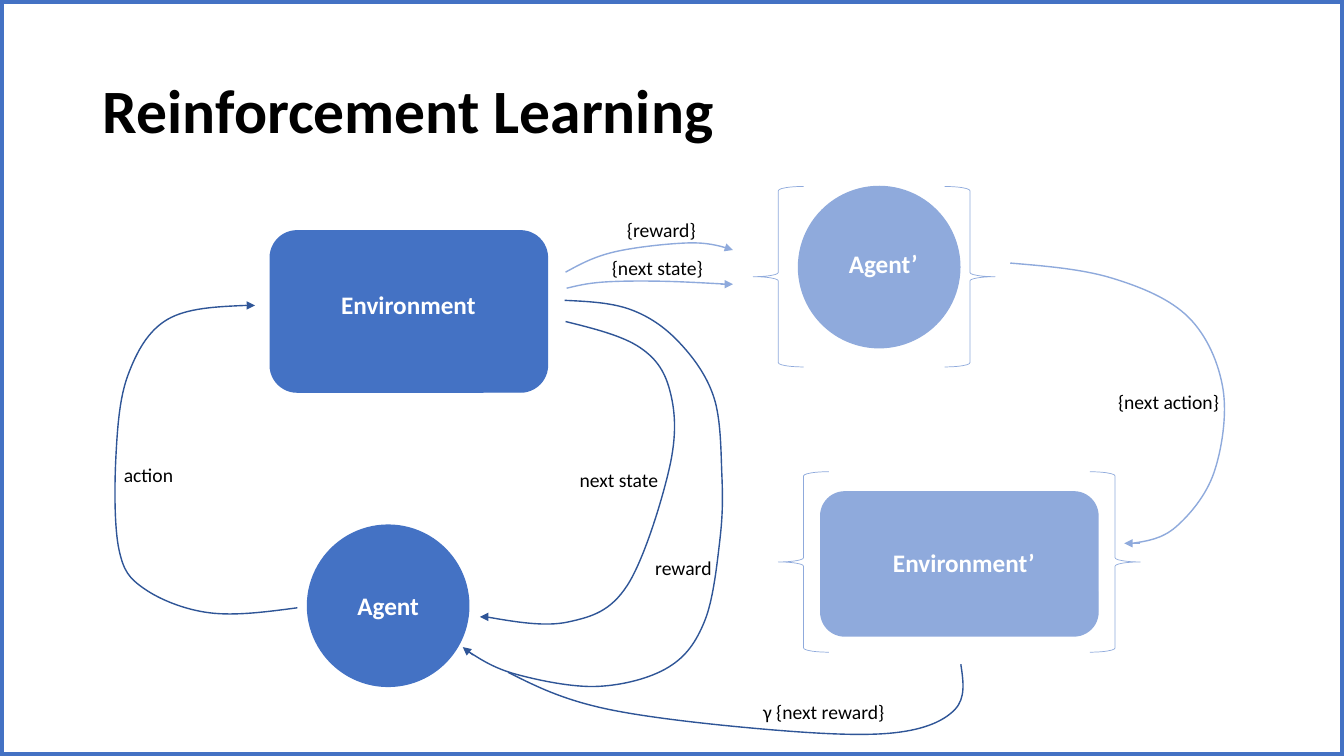
from dataclasses import dataclass

import lxml.etree
import pptx
import pptx.dml.color
import pptx.enum.shapes
import pptx.enum.text
import pptx.oxml.ns
import pptx.shapes.base
import pptx.slide
import pptx.util

RGBColor = pptx.dml.color.RGBColor
Kind = pptx.enum.shapes.MSO_SHAPE
Align = pptx.enum.text.PP_ALIGN

PX = pptx.util.Inches(1) // 100
WIDTH, HEIGHT = 1333, 750
FONT = "Calibri"
BLUE = RGBColor(0x44, 0x72, 0xC4)
LIGHT_BLUE = RGBColor(0x8F, 0xAA, 0xDC)
DARK_BLUE = RGBColor(0x2F, 0x55, 0x97)
BLACK = RGBColor(0, 0, 0)
WHITE = RGBColor(0xFF, 0xFF, 0xFF)

Point = tuple[float, float]


@dataclass
class Node:
    kind: Kind
    left: int
    top: int
    color: RGBColor
    width: int = 160
    height: int = 160


@dataclass
class BracePair:
    left: int
    right: int
    top: int


@dataclass
class Curve:
    color: RGBColor
    anchors: list[Point]
    tip: Point | None = None


@dataclass
class Label:
    text: str
    left: int
    top: int
    width: int = 107


NODES = [
    Node(Kind.ROUNDED_RECTANGLE, 268, 229, BLUE, 275),
    Node(Kind.OVAL, 305, 521, BLUE),
    Node(Kind.OVAL, 792, 185, LIGHT_BLUE),
    Node(Kind.ROUNDED_RECTANGLE, 814, 488, LIGHT_BLUE, 275, 143),
]
BRACES = [BracePair(747, 937, 185), BracePair(772, 1081, 468)]

CURVES = [
    Curve(DARK_BLUE, [(295, 603), (208, 608), (143, 584), (118, 545), (115, 453),
                      (127, 372), (166, 317), (244, 303)], (253, 303)),
    Curve(LIGHT_BLUE, [(561, 270), (609, 250), (683, 241), (724, 247)], (727, 248)),
    Curve(LIGHT_BLUE, [(1002, 261), (1103, 276), (1179, 315), (1213, 386), (1204, 469),
                       (1166, 523), (1123, 539)], (1115, 539)),
    Curve(DARK_BLUE, [(560, 298), (625, 307), (673, 339), (708, 394), (716, 471), (714, 536),
                      (699, 616), (663, 662), (593, 681), (512, 669), (464, 646)], (459, 642)),
    Curve(DARK_BLUE, [(953, 659), (947, 704), (887, 727), (765, 724), (600, 703), (504, 667)]),
    Curve(DARK_BLUE, [(561, 319), (635, 345), (665, 390), (664, 464), (622, 581),
                      (564, 617), (482, 612)], (476, 612)),
    Curve(LIGHT_BLUE, [(562, 286), (597, 280), (653, 279), (721, 282)], (727, 282)),
]

NODE_NAMES = [
    Label("Environment", 312, 282, 186),
    Label("Agent", 292, 581, 186),
    Label("Environment’", 863, 538, 186),
    Label("Agent’", 783, 241, 186),
]
SIGNALS = [
    Label("action", 113, 454),
    Label("{reward}", 612, 211),
    Label("{next action}", 1099, 382, 122),
    Label("γ {next reward}", 747, 689, 150),
    Label("next state", 565, 459),
    Label("{next state}", 597, 249, 114),
    Label("reward", 640, 547),
]


def add_outline(page: pptx.slide.Slide, kind: Kind, left: int, top: int, width: int,
                height: int, color: RGBColor, weight: float) -> pptx.shapes.base.BaseShape:
    shape = page.shapes.add_shape(kind, left * PX, top * PX, width * PX, height * PX)
    shape.shadow.inherit = False
    shape.fill.background()
    shape.line.color.rgb = color
    shape.line.width = pptx.util.Pt(weight)
    return shape


def add_node(page: pptx.slide.Slide, node: Node) -> None:
    shape = add_outline(page, node.kind, node.left, node.top, node.width, node.height,
                        node.color, 1)
    shape.fill.solid()
    shape.fill.fore_color.rgb = node.color


def add_braces(page: pptx.slide.Slide, pair: BracePair) -> None:
    for kind, left in ((Kind.LEFT_BRACE, pair.left), (Kind.RIGHT_BRACE, pair.right)):
        add_outline(page, kind, left, pair.top, 50, 179, LIGHT_BLUE, 0.5)


def add_arrow(page: pptx.slide.Slide, middle: Point, tip: Point, color: RGBColor) -> None:
    start = tuple(2 * center - end for center, end in zip(middle, tip))
    arrow = page.shapes.add_connector(
        pptx.enum.shapes.MSO_CONNECTOR.STRAIGHT, *(value * PX for value in start + tip))
    arrow.line.color.rgb = color
    arrow.line.width = pptx.util.Pt(0.5)
    tail = lxml.etree.SubElement(arrow.line._get_or_add_ln(), pptx.oxml.ns.qn("a:tailEnd"))
    tail.set("type", "triangle")
    lxml.etree.SubElement(arrow._element.spPr, pptx.oxml.ns.qn("a:effectLst"))


def midpoint(first: Point, second: Point) -> Point:
    return (first[0] + second[0]) / 2, (first[1] + second[1]) / 2


def smooth_points(anchors: list[Point]) -> list[Point]:
    handles = []
    for before, anchor, after in zip(anchors, anchors[1:], anchors[2:]):
        shift_x, shift_y = (after[0] - before[0]) / 6, (after[1] - before[1]) / 6
        handles += [(anchor[0] - shift_x, anchor[1] - shift_y), anchor,
                    (anchor[0] + shift_x, anchor[1] + shift_y)]
    return [anchors[0], midpoint(anchors[0], handles[0]), *handles,
            midpoint(handles[-1], anchors[-1]), anchors[-1]]


def add_curve(page: pptx.slide.Slide, curve: Curve) -> None:
    points = [(round(x * PX), round(y * PX)) for x, y in smooth_points(curve.anchors)]
    builder = page.shapes.build_freeform(*points[0])
    builder.add_line_segments(points[1:], close=False)
    shape = builder.convert_to_shape()
    shape.shadow.inherit = False
    shape.fill.background()
    shape.line.color.rgb = curve.color
    shape.line.width = pptx.util.Pt(1)
    segments = list(shape._element.iter(pptx.oxml.ns.qn("a:lnTo")))
    for first in range(0, len(segments), 3):
        bezier = lxml.etree.Element(pptx.oxml.ns.qn("a:cubicBezTo"))
        segments[first].addprevious(bezier)
        for segment in segments[first:first + 3]:
            bezier.append(segment[0])
            segment.getparent().remove(segment)
    if curve.tip:
        add_arrow(page, curve.anchors[-1], curve.tip, curve.color)


def add_label(page: pptx.slide.Slide, label: Label, height: int, size: int,
              color: RGBColor, bold: bool, align: Align) -> None:
    box = page.shapes.add_textbox(label.left * PX, label.top * PX, label.width * PX, height * PX)
    box.text_frame.word_wrap = True
    box.text_frame.auto_size = pptx.enum.text.MSO_AUTO_SIZE.SHAPE_TO_FIT_TEXT
    para = box.text_frame.paragraphs[0]
    para.text = label.text
    para.alignment = align
    para.font.name = FONT
    para.font.size = pptx.util.Pt(size)
    para.font.bold = bold
    para.font.color.rgb = color


def add_title(page: pptx.slide.Slide, text: str) -> None:
    title = page.shapes.title
    title.left, title.top, title.width, title.height = (
        value * PX for value in (92, 40, 1150, 145))
    title.text_frame.vertical_anchor = pptx.enum.text.MSO_ANCHOR.MIDDLE
    para = title.text_frame.paragraphs[0]
    para.text = text
    para.alignment = Align.LEFT
    para.line_spacing = 0.9
    para.font.name = FONT
    para.font.size = pptx.util.Pt(44)
    para.font.bold = True
    para.font.color.rgb = BLACK


def main() -> None:
    deck = pptx.Presentation()
    deck.slide_width, deck.slide_height = WIDTH * PX, HEIGHT * PX
    page = deck.slides.add_slide(deck.slide_layouts.get_by_name("Title Only"))
    add_title(page, "Reinforcement Learning")
    for node in NODES:
        add_node(page, node)
    for pair in BRACES:
        add_braces(page, pair)
    for curve in CURVES:
        add_curve(page, curve)
    for name in NODE_NAMES:
        add_label(page, name, 40, 18, WHITE, True, Align.CENTER)
    for signal in SIGNALS:
        add_label(page, signal, 34, 14, BLACK, False, Align.LEFT)
    add_outline(page, Kind.RECTANGLE, 0, 0, WIDTH, HEIGHT, BLUE, 6)
    deck.save("out.pptx")


if __name__ == "__main__":
    main()
